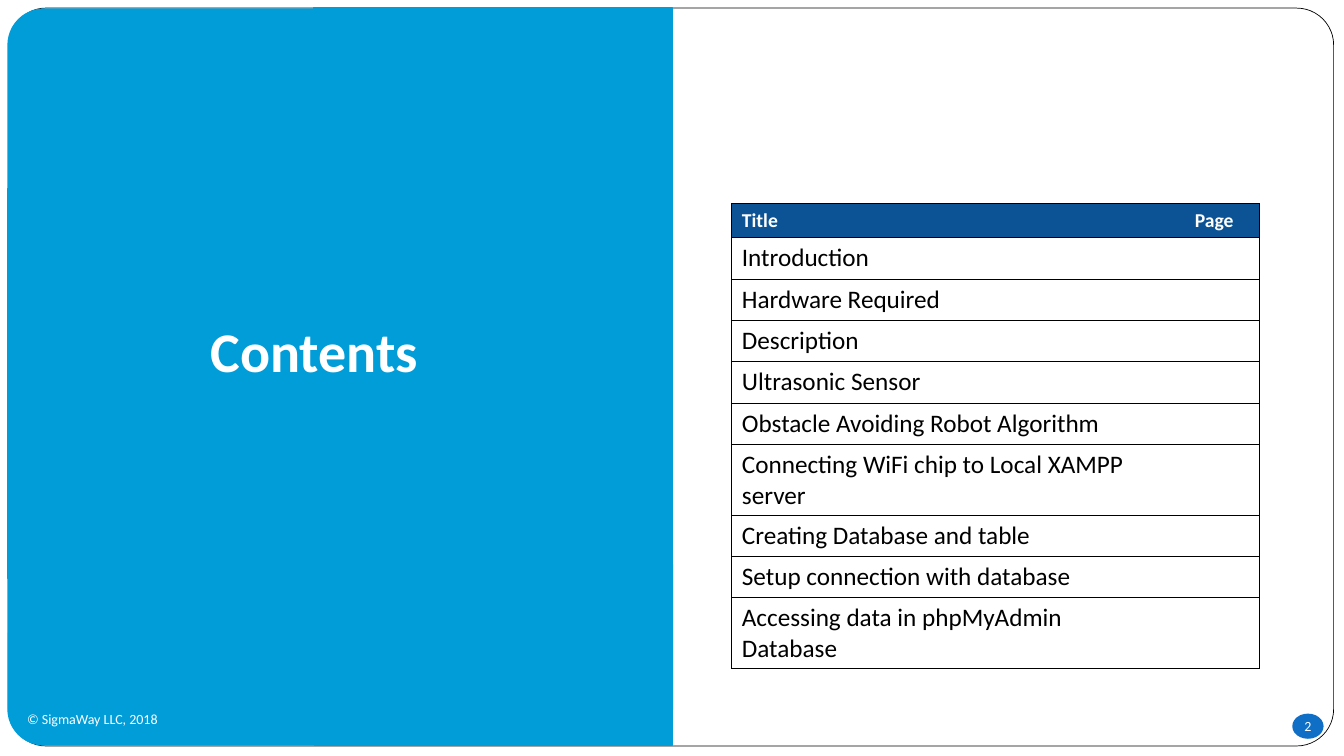
from dataclasses import dataclass
from lxml.etree import SubElement as Sub
from pptx import Presentation
from pptx.dml.color import RGBColor as Rgb
from pptx.enum.shapes import MSO_SHAPE as Kind
from pptx.enum.text import MSO_ANCHOR as Anchor, MSO_AUTO_SIZE as Fit, PP_ALIGN as Align
from pptx.oxml.ns import qn
from pptx.util import Inches, Pt


@dataclass
class Theme:
    font: str = "Calibri"
    white: str = "FFFFFF"
    black: str = "000000"
    panel: str = "009DD9"
    badge: str = "0F6FC6"
    head: str = "0B5394"
    title: int = 40
    body: int = 18
    label: int = 14
    small: int = 10


theme = Theme()
deck = Presentation()
deck.slide_width, deck.slide_height = Inches(13.33), Inches(7.5)
wide, high = deck.slide_width, deck.slide_height
slide = deck.slides.add_slide(deck.slide_layouts[5])
shapes = slide.shapes


def place(x, y, w, h):
    """Turn percent of the slide's size into lengths."""
    return [int(part * side / 100) for part, side in zip((x, y, w, h), (wide, high) * 2)]


def write(frame, text, size=theme.body, color=theme.black, bold=False, align=Align.LEFT):
    para = frame.paragraphs[0]
    para.alignment = align
    run = para.add_run()
    run.text = text
    font = run.font
    font.name, font.size, font.bold = theme.font, Pt(size), bold
    font.color.rgb = Rgb.from_string(color)


# Slide frame, page badge and the blue panel built from overlapping pieces
rest = shapes.add_group_shape()
panel = shapes.add_group_shape()
blue = (theme.panel, theme.panel, 1)
parts = [
    (rest, Kind.ROUNDED_RECTANGLE, (0.68, 1.07, 98.55, 97.6), (theme.white, theme.black, 0.5)),
    (panel, Kind.ROUNDED_RECTANGLE, (0.6, 1.2, 49.28, 28.53), blue),
    (panel, Kind.RECTANGLE, (0.6, 24.93, 49.2, 51.6), blue),
    (panel, Kind.ROUNDED_RECTANGLE, (0.6, 70, 49.43, 28.53), blue),
    (panel, Kind.RECTANGLE, (23.33, 1.07, 26.7, 51.6), blue),
    (panel, Kind.RECTANGLE, (23.4, 46.93, 26.63, 51.6), blue),
    (rest, Kind.OVAL, (96.15, 94.4, 2.33, 3.33), (theme.badge, None, 0)),
]
for host, kind, area, (fill, edge, width) in parts:
    shape = host.shapes.add_shape(kind, *place(*area))
    shape.shadow.inherit = False
    shape.fill.solid()
    shape.fill.fore_color.rgb = Rgb.from_string(fill)
    if edge:
        shape.line.color.rgb = Rgb.from_string(edge)
        shape.line.width = Pt(width)
    else:
        shape.line.fill.background()

rest.shapes[0].adjustments[0] = 0.05
badge = rest.shapes[1].text_frame
badge.margin_left = badge.margin_right = badge.margin_top = badge.margin_bottom = 0
badge.word_wrap, badge.vertical_anchor = False, Anchor.MIDDLE
write(badge, "2", theme.small, theme.white, align=Align.CENTER)

# Title, brought in front of the panel
title = shapes.title
panel.element.addnext(title.element)
title.left, title.top, title.width, title.height = place(12.38, 43.87, 21.98, 8.27)
frame = title.text_frame
frame.auto_size, frame.vertical_anchor = Fit.NONE, Anchor.BOTTOM
frame.margin_left = frame.margin_right = frame.margin_bottom = Inches(0.1)
frame.margin_top = Inches(0.05)
write(frame, "Contents", theme.title, theme.white, True, Align.CENTER)

# Copyright line
foot = shapes.add_textbox(*place(1.28, 93.33, 43.35, 6.67)).text_frame
foot.word_wrap = True
write(foot, "© SigmaWay LLC, 2018", theme.small, theme.white)

# Contents table: ruled rows, no line between the columns
topics = [
    "Introduction",
    "Hardware Required",
    "Description",
    "Ultrasonic Sensor",
    "Obstacle Avoiding Robot Algorithm",
    "Connecting WiFi chip to Local XAMPP server",
    "Creating Database and table",
    "Setup connection with database",
    "Accessing data in phpMyAdmin Database",
]
area = place(54.45, 26.93, 39.23, 61.07)
table = shapes.add_table(len(topics) + 1, 2, *area).table
table.horz_banding = table.first_row = False
for col, share in zip(table.columns, (0.83, 0.17)):
    col.width = int(area[2] * share)
for num, row in enumerate(table.rows):
    row.height = Inches(0.41 if num else 0.34)
    for col, cell in enumerate(row.cells):
        props = cell._tc.get_or_add_tcPr()
        inner = "R" if col == 0 else "L"
        for side in "LRTB":
            line = Sub(props, qn("a:ln" + side), w=str(Pt(0.75)))
            if side == inner:
                Sub(line, qn("a:noFill"))
            else:
                Sub(Sub(line, qn("a:solidFill")), qn("a:srgbClr"), val=theme.black)
        if num:
            cell.fill.background()
        else:
            cell.fill.solid()
            cell.fill.fore_color.rgb = Rgb.from_string(theme.head)

write(table.cell(0, 0).text_frame, "Title", theme.label, theme.white, True)
write(table.cell(0, 1).text_frame, "Page", theme.label, theme.white, True, Align.CENTER)
for num, topic in enumerate(topics, 1):
    write(table.cell(num, 0).text_frame, topic)

deck.save("out.pptx")
